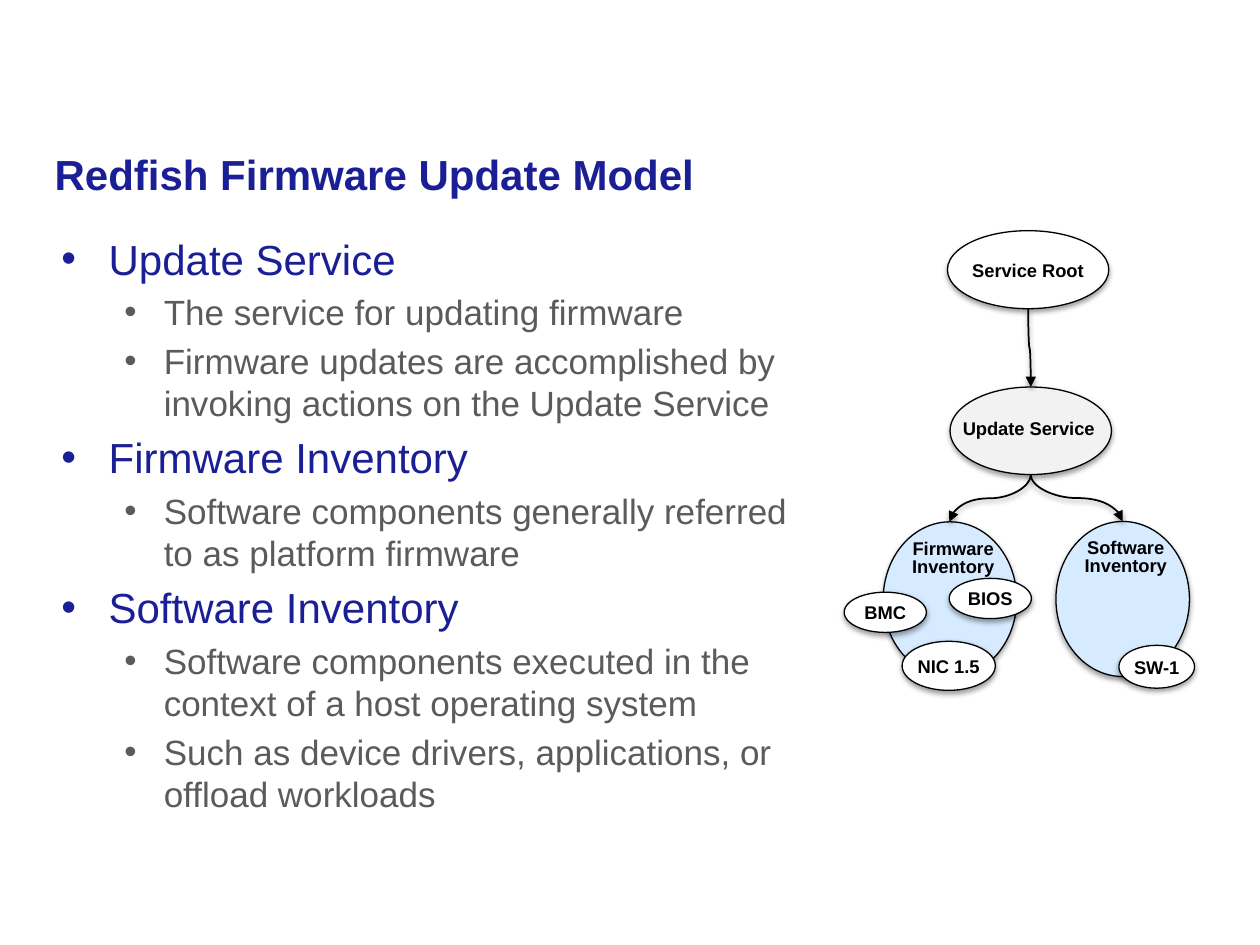
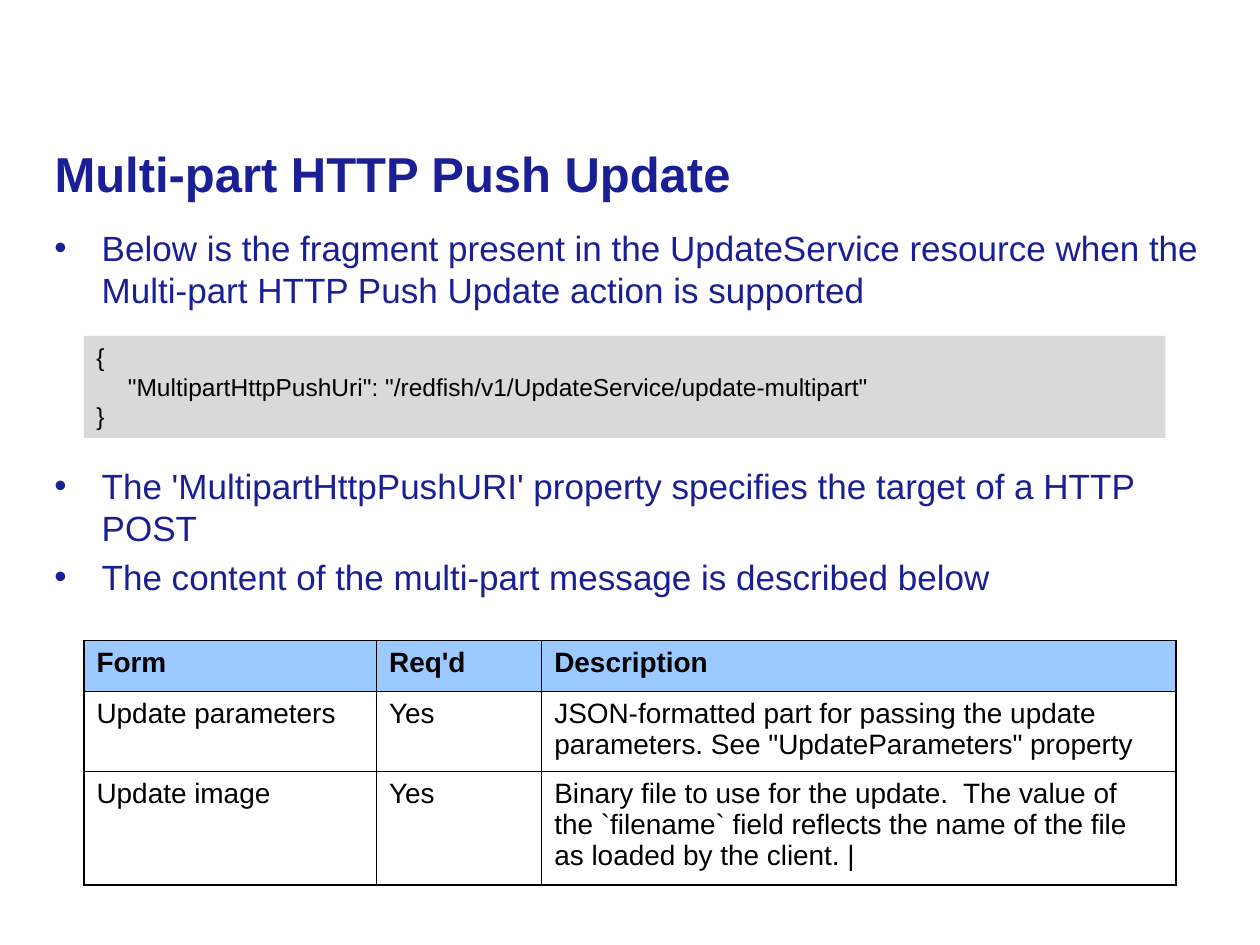
from dataclasses import dataclass

from lxml import etree
from pptx import Presentation
from pptx.dml.color import RGBColor
from pptx.enum import shapes as es, text as et
from pptx.oxml import parse_xml
from pptx.oxml.ns import nsdecls, qn
from pptx.util import Pt

FONT = "Arial"
NAVY = RGBColor(0x1B, 0x1F, 0x95)
GRAY = RGBColor(0x5B, 0x5B, 0x5B)
BLACK = RGBColor(0, 0, 0)
WHITE = RGBColor(0xFF, 0xFF, 0xFF)
SERVICE_FILL = RGBColor(0xF2, 0xF2, 0xF2)
INVENTORY_FILL = RGBColor(0xD6, 0xEB, 0xFF)
CODE_FILL = RGBColor(0xD9, 0xD9, 0xD9)
HEADER_FILL = RGBColor(0x9C, 0xC9, 0xFF)

CENTER = et.PP_ALIGN.CENTER
LEFT = et.PP_ALIGN.LEFT
MIDDLE = et.MSO_ANCHOR.MIDDLE


@dataclass
class Box:
    left: float
    top: float
    width: float
    height: float

    def lengths(self) -> list:
        return [Pt(v) for v in (self.left, self.top, self.width, self.height)]


@dataclass
class Oval:
    box: Box
    fill: RGBColor = WHITE
    text: str = ""


@dataclass
class Label:
    text: str
    box: Box
    spacing: float = 1.0


@dataclass
class Arrow:
    x1: float
    y1: float
    x2: float
    y2: float


@dataclass
class Bullet:
    text: str
    level: int = 0
    size: float = 20
    color: RGBColor = NAVY
    before: float = 4


def heading(text: str) -> Bullet:
    return Bullet(text, size=24, before=4.8)


def detail(text: str) -> Bullet:
    return Bullet(text, level=1, color=GRAY)


TITLE_BOX = Box(24, 72, 672, 54)
BULLET_INDENTS = [(27, -27), (58.5, -22.5)]

MODEL_BULLETS = [
    heading("Update Service"),
    detail("The service for updating firmware"),
    detail("Firmware updates are accomplished by invoking actions on the Update Service"),
    heading("Firmware Inventory"),
    detail("Software components generally referred to as platform firmware"),
    heading("Software Inventory"),
    detail("Software components executed in the context of a host operating system"),
    detail("Such as device drivers, applications, or offload workloads"),
]
RESOURCES = [
    Oval(Box(541.4, 131.8, 92.2, 44.6), text="Service Root"),
    Oval(Box(542.9, 221.2, 92.2, 50), SERVICE_FILL),
    Oval(Box(504.7, 298.2, 76.3, 88.6), INVENTORY_FILL),
    Oval(Box(603.4, 298, 76.3, 88.6), INVENTORY_FILL),
]
LABELS = [
    Label("Update Service", Box(538.6, 234.7, 98.6, 20)),
    Label("Firmware Inventory", Box(492.5, 306, 104.4, 27.4), 0.8),
    Label("Software Inventory", Box(591.1, 305.3, 104.4, 27.4), 0.8),
]
ARROWS = [
    Arrow(587.5, 176.4, 589, 221.2),
    Arrow(589, 271.3, 542.5, 298.2),
    Arrow(589, 271.3, 641.5, 298),
]
COMPONENTS = [
    Oval(Box(515.5, 366.5, 53.3, 28), text="NIC 1.5"),
    Oval(Box(639.4, 368.8, 43.2, 24.5), text="SW-1"),
    Oval(Box(482.4, 338.4, 47, 23), text="BMC"),
    Oval(Box(542.4, 330.5, 47, 23), text="BIOS"),
]

PUSH_BULLETS = [
    Bullet("Below is the fragment present in the UpdateService resource when the "
           "Multi-part HTTP Push Update action is supported"),
    Bullet("The 'MultipartHttpPushURI' property specifies the target of a HTTP POST",
           before=88),
    Bullet("The content of the multi-part message is described below"),
]
CODE_LINES = [
    ("{", 0),
    ('"MultipartHttpPushUri": "/redfish/v1/UpdateService/update-multipart"', 18),
    ("}", 0),
]
PART_ROWS = [
    ("Form", "Req'd", "Description"),
    ("Update parameters", "Yes",
     "JSON-formatted part for passing the update parameters. "
     'See "UpdateParameters" property'),
    ("Update image", "Yes",
     "Binary file to use for the update.  The value of the `filename` field "
     "reflects the name of the file as loaded by the client. |"),
]
COLUMN_WIDTHS = [167.2, 94.4, 362.4]
ROW_HEIGHTS = [29.2, 45.7, 64.6]


def write(tf, text: str, *, size: float, color: RGBColor = BLACK, bold: bool = False,
          align=LEFT, before: float = 0, spacing: float = 1.0,
          margin: float = 0, indent: float = 0, bullet: bool = False) -> None:
    p = tf.paragraphs[0] if not tf.text else tf.add_paragraph()
    p.alignment = align
    p.space_before = Pt(before)
    p.line_spacing = spacing
    pPr = p._p.get_or_add_pPr()
    pPr.set("marL", str(Pt(margin)))
    pPr.set("indent", str(Pt(indent)))
    if bullet:
        etree.SubElement(pPr, qn("a:buFont")).set("typeface", FONT)
        etree.SubElement(pPr, qn("a:buChar")).set("char", "•")
    r = p.add_run()
    r.text = text
    r.font.name = FONT
    r.font.size = Pt(size)
    r.font.bold = bold
    r.font.color.rgb = color


def add_shadow(sp) -> None:
    sp._element.spPr.append(parse_xml(
        f'<a:effectLst {nsdecls("a")}>'
        f'<a:outerShdw blurRad="{Pt(3.1)}" dist="{Pt(1.6)}" dir="5400000" rotWithShape="0">'
        '<a:srgbClr val="000000"><a:alpha val="38000"/></a:srgbClr>'
        '</a:outerShdw></a:effectLst>'))


def add_titled_slide(prs, title: str, size: float):
    s = prs.slides.add_slide(prs.slide_layouts[5])
    sp = s.shapes.title
    sp.left, sp.top, sp.width, sp.height = TITLE_BOX.lengths()
    tf = sp.text_frame
    tf.vertical_anchor = MIDDLE
    tf.auto_size = et.MSO_AUTO_SIZE.NONE
    write(tf, title, size=size, color=NAVY, bold=True)
    return s


def add_text_frame(s, box: Box):
    tf = s.shapes.add_textbox(*box.lengths()).text_frame
    tf.word_wrap = True
    return tf


def add_bullets(s, box: Box, bullets: list[Bullet]) -> None:
    tf = add_text_frame(s, box)
    for b in bullets:
        margin, indent = BULLET_INDENTS[b.level]
        write(tf, b.text, size=b.size, color=b.color, before=b.before,
              margin=margin, indent=indent, bullet=True)


def add_oval(s, oval: Oval) -> None:
    sp = s.shapes.add_shape(es.MSO_SHAPE.OVAL, *oval.box.lengths())
    sp.fill.solid()
    sp.fill.fore_color.rgb = oval.fill
    sp.line.color.rgb = BLACK
    sp.line.width = Pt(0.75)
    add_shadow(sp)
    if oval.text:
        tf = sp.text_frame
        tf.margin_left = tf.margin_right = tf.margin_top = tf.margin_bottom = 0
        tf.vertical_anchor = MIDDLE
        write(tf, oval.text, size=10.5, bold=True, align=CENTER)


def add_label(s, label: Label) -> None:
    write(add_text_frame(s, label.box), label.text, size=10.5, bold=True,
          align=CENTER, spacing=label.spacing)


def add_arrow(s, a: Arrow) -> None:
    cx, cy = (a.x1 + a.x2) / 2, (a.y1 + a.y2) / 2
    half_run, half_rise = (a.y2 - a.y1) / 2, abs(a.x2 - a.x1) / 2
    rightward = a.x2 > a.x1
    side = -1 if rightward else 1
    cn = s.shapes.add_connector(
        es.MSO_CONNECTOR.CURVE,
        Pt(cx - side * half_run), Pt(cy - half_rise),
        Pt(cx + side * half_run), Pt(cy + half_rise))
    cn.line.color.rgb = BLACK
    cn.line.width = Pt(1)
    spPr = cn._element.spPr
    spPr.find(qn("a:xfrm")).set("rot", "16200000" if rightward else "5400000")
    etree.SubElement(spPr.find(qn("a:ln")), qn("a:tailEnd")).set("type", "triangle")
    add_shadow(cn)


def add_code(s, box: Box) -> None:
    sp = s.shapes.add_shape(es.MSO_SHAPE.RECTANGLE, *box.lengths())
    sp.shadow.inherit = False
    sp.fill.solid()
    sp.fill.fore_color.rgb = CODE_FILL
    sp.line.fill.background()
    tf = sp.text_frame
    tf.word_wrap = True
    tf.vertical_anchor = et.MSO_ANCHOR.TOP
    for line, margin in CODE_LINES:
        write(tf, line, size=14, margin=margin)


def add_borders(cell) -> None:
    tcPr = cell._tc.get_or_add_tcPr()
    for side in ("lnL", "lnR", "lnT", "lnB"):
        tcPr.append(parse_xml(
            f'<a:{side} {nsdecls("a")} w="{Pt(1)}"><a:solidFill>'
            f'<a:srgbClr val="{BLACK}"/></a:solidFill></a:{side}>'))


def add_parts_table(s, left: float, top: float) -> None:
    box = Box(left, top, sum(COLUMN_WIDTHS), sum(ROW_HEIGHTS))
    tbl = s.shapes.add_table(len(PART_ROWS), len(COLUMN_WIDTHS), *box.lengths()).table
    tbl.first_row = tbl.horz_banding = False
    for column, width in zip(tbl.columns, COLUMN_WIDTHS):
        column.width = Pt(width)
    for i, (row, height) in enumerate(zip(PART_ROWS, ROW_HEIGHTS)):
        tbl.rows[i].height = Pt(height)
        for j, value in enumerate(row):
            cell = tbl.cell(i, j)
            add_borders(cell)
            cell.fill.solid()
            cell.fill.fore_color.rgb = WHITE if i else HEADER_FILL
            write(cell.text_frame, value, size=16, bold=i == 0)


def build_model_slide(prs) -> None:
    s = add_titled_slide(prs, "Redfish Firmware Update Model", 24)
    add_bullets(s, Box(28, 129.6, 437, 264), MODEL_BULLETS)
    for draw, items in ((add_oval, RESOURCES), (add_label, LABELS),
                        (add_arrow, ARROWS), (add_oval, COMPONENTS)):
        for item in items:
            draw(s, item)


def build_push_slide(prs) -> None:
    s = add_titled_slide(prs, "Multi-part HTTP Push Update", 28)
    add_bullets(s, Box(24, 126, 672, 222), PUSH_BULLETS)
    add_code(s, Box(48, 192, 618, 58.2))
    add_parts_table(s, 48, 366)


def main() -> None:
    prs = Presentation()
    prs.slide_width, prs.slide_height = Pt(720), Pt(540)
    build_model_slide(prs)
    build_push_slide(prs)
    prs.save("out.pptx")


if __name__ == "__main__":
    main()
